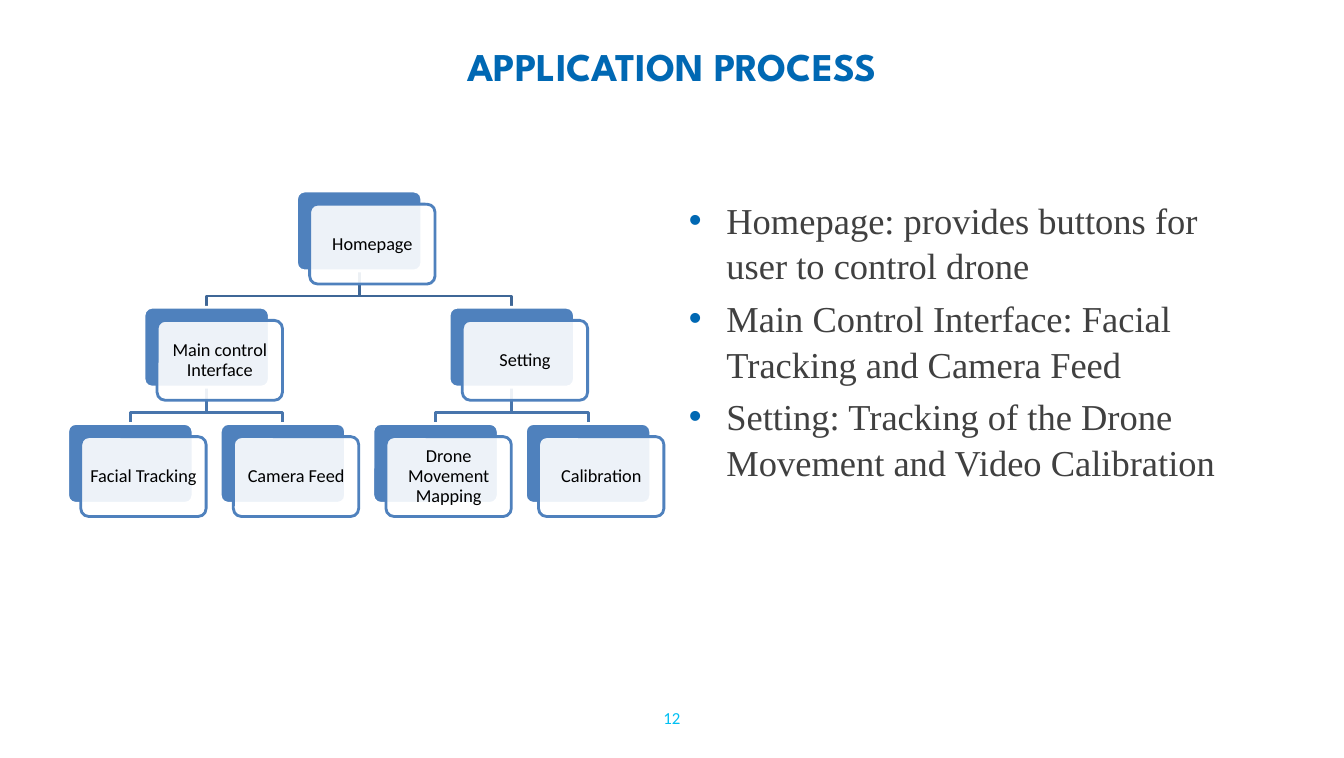
from lxml.etree import SubElement
from pptx import Presentation
from pptx.dml.color import RGBColor
from pptx.enum.shapes import MSO_SHAPE
from pptx.enum.text import MSO_ANCHOR, PP_ALIGN
from pptx.oxml.ns import qn
from pptx.util import Inches, Pt

TITLE = "APPLICATION PROCESS"
NUMBER = "12"
BULLETS = [
    "Homepage: provides buttons for user to control drone",
    "Main Control Interface: Facial Tracking and Camera Feed",
    "Setting: Tracking of the Drone Movement and Video Calibration",
]
NODES = {
    "Homepage": (1.5, 0, None),
    "Main control Interface": (0.5, 1, "Homepage"),
    "Facial Tracking": (0, 2, "Main control Interface"),
    "Camera Feed": (1, 2, "Main control Interface"),
    "Setting": (2.5, 1, "Homepage"),
    "Drone Movement Mapping": (2, 2, "Setting"),
    "Calibration": (3, 2, "Setting"),
}
LINE_COLORS = {1: "3F6797", 2: "4875AC"}
BLUE, BOX_BLUE, WHITE = "0068B3", "4F81BD", "FFFFFF"
TITLE_FONT = {"name": "League Spartan", "size": Pt(28), "bold": True}
BODY_FONT = {"name": "Times New Roman", "size": Pt(26)}
NODE_FONT = {"name": "Calibri", "size": Pt(13)}
NUMBER_FONT = {"name": "Calibri", "size": Pt(12)}

WIDTH, HEIGHT = 13.3, 7.5
LEFT, TOP = 0.67, 1.89
COL, ROW = 1.51, 1.15
BOX_W, BOX_H = 1.24, 0.79
SHIFT, BEND = 0.13, 0.25


def rgb(color):
    return RGBColor.from_string(color)


def set_all(target, values):
    for name, value in values.items():
        setattr(target, name, value)


def write(p, text, font, color):
    r = p.add_run()
    r.text = text
    set_all(r.font, font)
    r.font.color.rgb = rgb(color)


def add_text(s, at, text, font, color, anchor):
    tf = s.shapes.add_textbox(*map(Inches, at)).text_frame
    set_all(tf, {"word_wrap": True, "vertical_anchor": anchor})
    tf.paragraphs[0].alignment = PP_ALIGN.CENTER
    write(tf.paragraphs[0], text, font, color)


def add_bullets(s, at):
    tf = s.shapes.add_textbox(*map(Inches, at)).text_frame
    tf.word_wrap = True
    for i, text in enumerate(BULLETS):
        p = tf.add_paragraph() if i else tf.paragraphs[0]
        p.line_spacing = 1.04
        p.space_before = Pt(5.2 if i else 0)
        pr = p._p.get_or_add_pPr()
        pr.set("marL", str(Inches(0.37)))
        pr.set("indent", str(-Inches(0.37)))
        color = SubElement(pr, qn("a:buClr"))
        SubElement(color, qn("a:srgbClr"), val=BLUE)
        SubElement(pr, qn("a:buFont"), typeface="Arial")
        SubElement(pr, qn("a:buChar"), char="•")
        write(p, text, BODY_FONT, "404040")


def node_at(label):
    col, row, _ = NODES[label]
    return LEFT + col * COL, TOP + row * ROW


def add_link(s, parent, child):
    (x1, y1), (x2, y2) = node_at(parent), node_at(child)
    x1, x2, y1 = x1 + BOX_W / 2, x2 + BOX_W / 2, y1 + BOX_H
    points = [(x1, y1), (x1, y1 + BEND), (x2, y1 + BEND), (x2, y2)]
    start, *rest = [(Inches(x), Inches(y)) for x, y in points]
    builder = s.shapes.build_freeform(*start)
    builder.add_line_segments(rest, close=False)
    link = builder.convert_to_shape()
    link.shadow.inherit = False
    link.fill.background()
    link.line.color.rgb = rgb(LINE_COLORS[NODES[child][1]])
    link.line.width = Pt(2)


def add_box(s, x, y, fill, line):
    at = map(Inches, (x, y, BOX_W, BOX_H))
    box = s.shapes.add_shape(MSO_SHAPE.ROUNDED_RECTANGLE, *at)
    box.adjustments[0] = 0.1
    box.shadow.inherit = False
    box.fill.solid()
    box.fill.fore_color.rgb = rgb(fill)
    box.line.color.rgb = rgb(line)
    box.line.width = Pt(2)
    return box


def add_node(s, label):
    x, y = node_at(label)
    add_box(s, x, y, BOX_BLUE, WHITE)
    front = add_box(s, x + SHIFT, y + SHIFT, WHITE, BOX_BLUE)
    color = front.fill._xPr.find(qn("a:solidFill"))[0]
    SubElement(color, qn("a:alpha"), val="90000")
    tf = front.text_frame
    sides = ("left", "right", "top", "bottom")
    set_all(tf, {f"margin_{side}": Inches(0.05) for side in sides})
    set_all(tf, {"word_wrap": True, "vertical_anchor": MSO_ANCHOR.MIDDLE})
    p = tf.paragraphs[0]
    set_all(p, {"alignment": PP_ALIGN.CENTER, "line_spacing": 0.9})
    write(p, label, NODE_FONT, "000000")


def main():
    prs = Presentation()
    prs.slide_width, prs.slide_height = Inches(WIDTH), Inches(HEIGHT)
    s = prs.slides.add_slide(prs.slide_layouts[6])
    margin = WIDTH * 0.05
    add_text(s, (margin, HEIGHT * 0.04, WIDTH * 0.9, 0.7),
             TITLE, TITLE_FONT, BLUE, MSO_ANCHOR.MIDDLE)
    add_bullets(s, (6.72, TOP, WIDTH - margin - 6.72, HEIGHT - TOP - 0.1))
    add_text(s, (WIDTH / 2 - 0.22, 6.95, 0.44, 0.4),
             NUMBER, NUMBER_FONT, "00C0F3", MSO_ANCHOR.TOP)
    for label, (_, _, parent) in NODES.items():
        if parent:
            add_link(s, parent, label)
    for label in NODES:
        add_node(s, label)
    prs.save("out.pptx")


if __name__ == "__main__":
    main()
